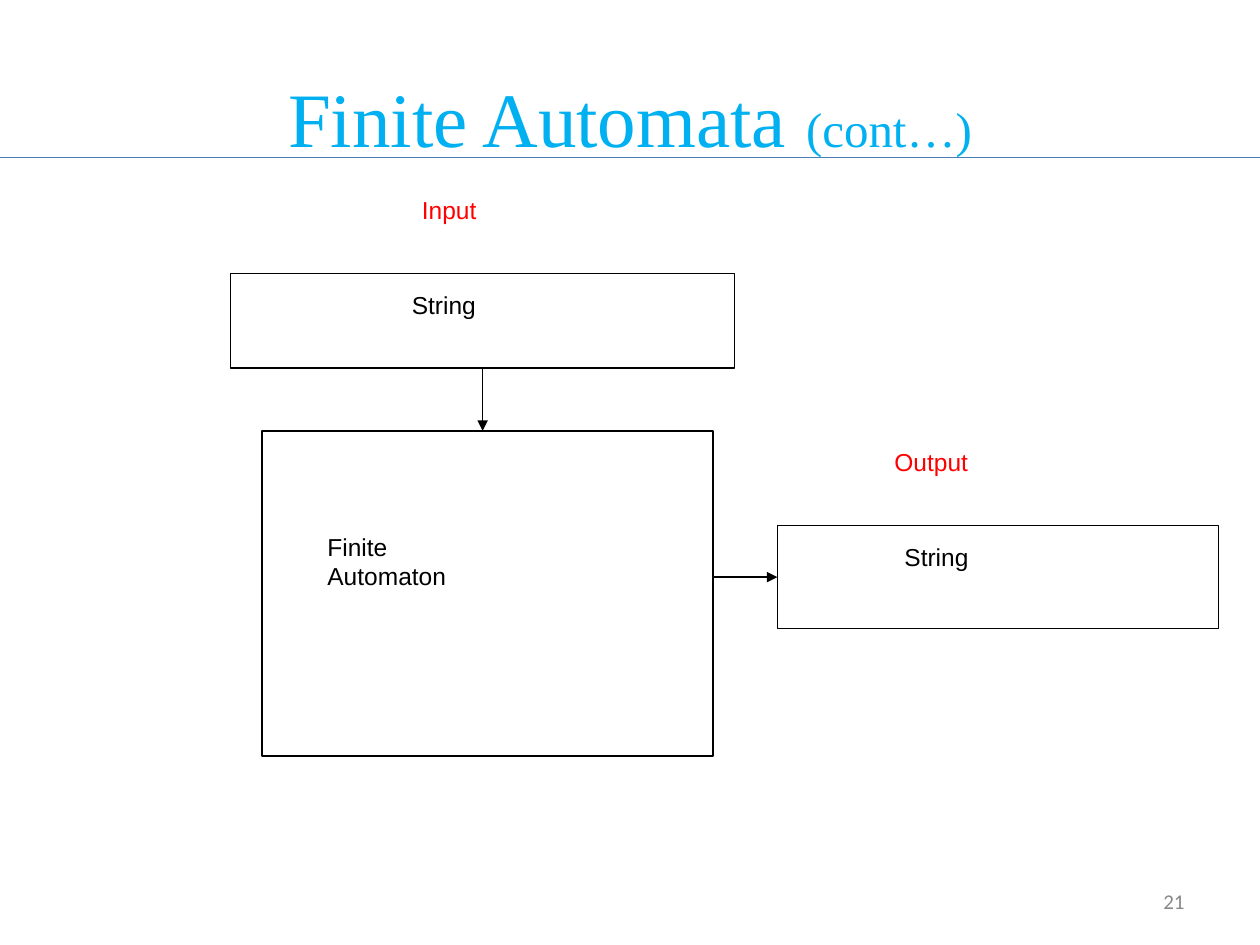
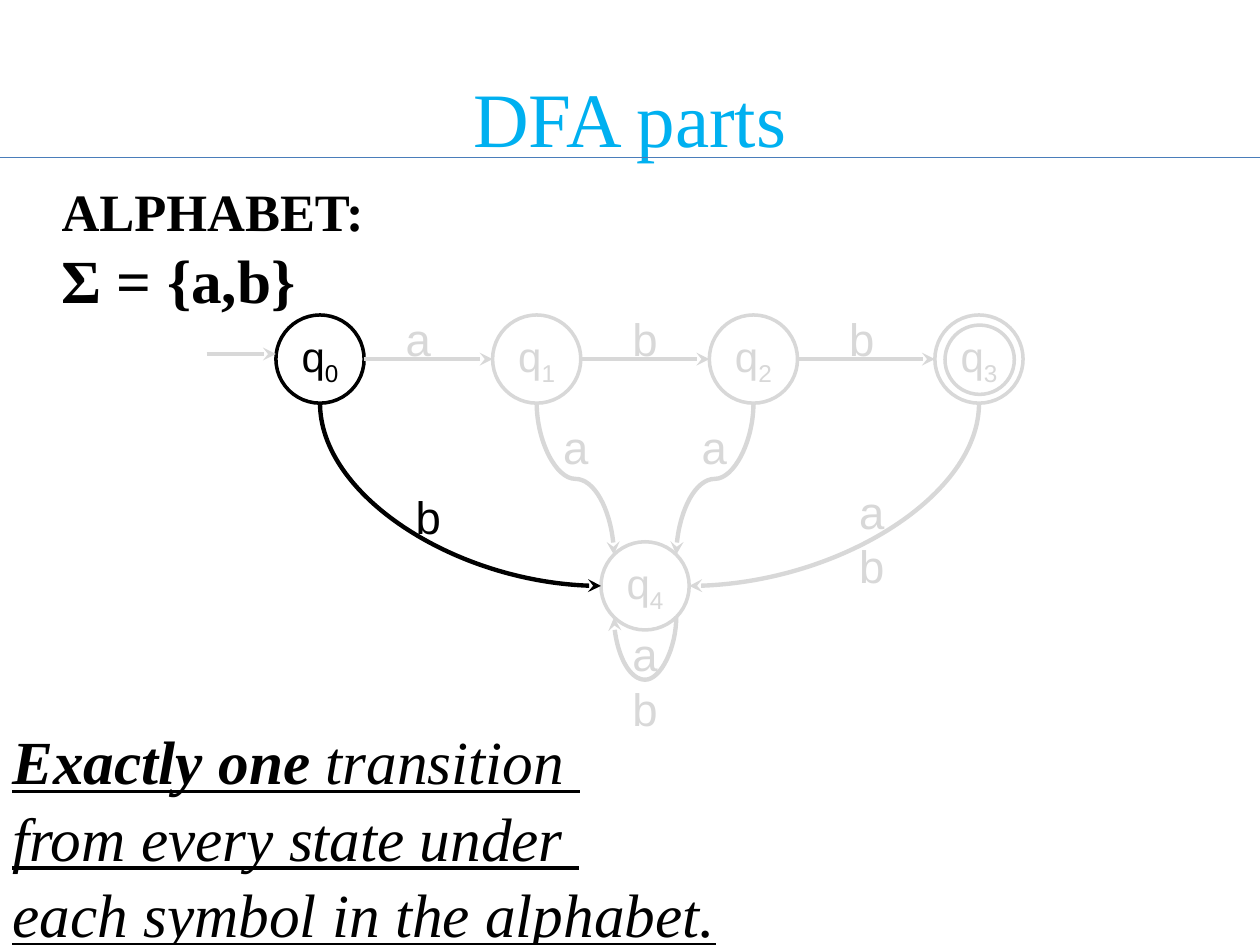
from math import cos, radians, sin

from lxml import etree
from pptx import Presentation
from pptx.dml.color import RGBColor
from pptx.enum.shapes import MSO_CONNECTOR, MSO_SHAPE
from pptx.enum.text import MSO_ANCHOR, PP_ALIGN
from pptx.oxml.ns import qn
from pptx.util import Inches, Pt

STRAIGHT, CURVE = MSO_CONNECTOR.STRAIGHT, MSO_CONNECTOR.CURVE
RECT, OVAL = MSO_SHAPE.RECTANGLE, MSO_SHAPE.OVAL
MIDDLE = MSO_ANCHOR.MIDDLE
LEFT, CENTER, RIGHT = PP_ALIGN.LEFT, PP_ALIGN.CENTER, PP_ALIGN.RIGHT
BLACK = RGBColor(0x00, 0x00, 0x00)
WHITE = RGBColor(0xFF, 0xFF, 0xFF)
RED = RGBColor(0xFF, 0x00, 0x00)
FADED = RGBColor(0xD8, 0xD8, 0xD8)
NUMBER_GREY = RGBColor(0x88, 0x88, 0x88)
TITLE_BLUE = RGBColor(0x00, 0xB0, 0xF0)
RULE_BLUE = RGBColor(0x4A, 0x7D, 0xBA)
SANS, SERIF, NUMBER_FONT = "Arial", "Times New Roman", "Calibri"
NODE_SIZE = 0.7
BOTTOM_LEFT, BOTTOM, BOTTOM_RIGHT = 3, 4, 5
TOP_LEFT, LEFT_SIDE, RIGHT_SIDE, TOP_RIGHT = 1, 2, 6, 7


def add_run(p, text, size, color, font=SANS, bold=None, italic=None, underline=None):
    r = p.add_run()
    r.text = text
    f = r.font
    f.name, f.size, f.color.rgb = font, Pt(size), color
    f.bold, f.italic, f.underline = bold, italic, underline
    return r


def add_text(slide, x, y, w, h, lines, align=LEFT, anchor=None, spacing=None):
    tf = slide.shapes.add_textbox(Inches(x), Inches(y), Inches(w), Inches(h)).text_frame
    tf.word_wrap = False
    if anchor is not None:
        tf.vertical_anchor = anchor
    for i, runs in enumerate(lines):
        p = tf.paragraphs[0] if i == 0 else tf.add_paragraph()
        p.alignment = align
        p.line_spacing = spacing
        for text, style in runs:
            add_run(p, text, **style)


def add_label(slide, x, y, w, h, text, size, color):
    style = dict(size=size, color=color)
    add_text(slide, x, y, w, h, [[(line, style)] for line in text.split("\n")])


def add_outline(slide, kind, x, y, w, h, color=BLACK, width=0.75, fill=None):
    sp = slide.shapes.add_shape(kind, Inches(x), Inches(y), Inches(w), Inches(h))
    sp.shadow.inherit = False
    if fill is None:
        sp.fill.background()
    else:
        sp.fill.solid()
        sp.fill.fore_color.rgb = fill
    sp.line.color.rgb = color
    sp.line.width = Pt(width)
    return sp


def add_line(slide, start, end, color=BLACK, width=0.75, head=None, kind=STRAIGHT):
    cxn = slide.shapes.add_connector(kind, *(Inches(v) for v in (*start, *end)))
    cxn.line.color.rgb = color
    cxn.line.width = Pt(width)
    if head:
        etree.SubElement(cxn.line._get_or_add_ln(), qn("a:tailEnd"), type=head)
    etree.SubElement(cxn._element.spPr, qn("a:effectLst"))
    return cxn


def add_state(slide, x, y, index, color=FADED):
    sp = add_outline(slide, OVAL, x, y, NODE_SIZE, NODE_SIZE, color, 2, WHITE)
    tf = sp.text_frame
    tf.word_wrap = False
    tf.vertical_anchor = MIDDLE
    p = tf.paragraphs[0]
    p.alignment = CENTER
    add_run(p, "q", 24, color)
    sub = add_run(p, str(index), 24, color)
    sub.font._element.set("baseline", "-25000")
    return sp


def site_point(state, site):
    angle, radius = radians(45 * site), NODE_SIZE / 2
    return (state.left.inches + radius * (1 - sin(angle)),
            state.top.inches + radius * (1 - cos(angle)))


def glue(cxn, tag, state, site):
    props = cxn._element.nvCxnSpPr.cNvCxnSpPr
    etree.SubElement(props, qn(tag), id=str(state.shape_id), idx=str(site))


def add_transition(slide, source, source_site, target, target_site,
                   color=FADED, preset=None, drop=None):
    start, end = site_point(source, source_site), site_point(target, target_site)
    cxn = add_line(slide, start, end, color, 2.5, "stealth", CURVE if preset else STRAIGHT)
    glue(cxn, "a:stCxn", source, source_site)
    glue(cxn, "a:endCxn", target, target_site)
    if preset:
        bend(cxn, start, end, preset, drop)


def bend(cxn, start, end, preset, drop):
    (x1, y1), (x2, y2) = start, end
    w, h = max(y2 - y1, 0.01), abs(x2 - x1)
    cxn.left, cxn.top = Inches((x1 + x2 - w) / 2), Inches((y1 + y2 - h) / 2)
    cxn.width, cxn.height = Inches(w), Inches(h)
    xfrm = cxn._element.spPr.find(qn("a:xfrm"))
    for flip in ("flipH", "flipV"):
        xfrm.attrib.pop(flip, None)
    to_right = x2 > x1
    xfrm.set("rot", str((270 if to_right else 90) * 60000))
    if to_right:
        xfrm.set("flipH", "1")
    geom = cxn._element.spPr.find(qn("a:prstGeom"))
    geom.set("prst", preset)
    if drop:
        guides = geom.find(qn("a:avLst"))
        if guides is None:
            guides = etree.SubElement(geom, qn("a:avLst"))
        etree.SubElement(guides, qn("a:gd"), name="adj1",
                         fmla=f"val {round(drop / w * 100000)}")


def new_slide(prs, *title_runs):
    slide = prs.slides.add_slide(prs.slide_layouts[5])
    title = slide.shapes.title
    title.left, title.top = Inches(0.5), Inches(0.3)
    title.width, title.height = Inches(9), Inches(1.25)
    tf = title.text_frame
    tf.vertical_anchor = MIDDLE
    p = tf.paragraphs[0]
    p.alignment = CENTER
    for text, size in title_runs:
        add_run(p, text, size, TITLE_BLUE, SERIF)
    add_line(slide, (0, 1.25), (10, 1.25), RULE_BLUE)
    return slide


def build_finite_automata(prs):
    slide = new_slide(prs, ("Finite Automata ", 44), ("(cont…)", 28))
    add_outline(slide, RECT, 2.08, 3.42, 3.58, 2.58)
    input_box = add_outline(slide, RECT, 1.83, 2.17, 4, 0.75)
    output_box = add_outline(slide, RECT, 6.17, 4.17, 3.5, 0.82)
    for x, y, w, h, text, color in (
        (3.25, 1.5, 1.36, 0.63, "Input", RED),
        (3.17, 2.25, 1.53, 0.63, "String", BLACK),
        (2.5, 4.17, 2.45, 1.27, "Finite\nAutomaton", BLACK),
        (7, 3.5, 1.68, 0.63, "Output", RED),
        (7.08, 4.25, 1.53, 0.63, "String", BLACK),
    ):
        add_label(slide, x, y, w, h, text, 14, color)
    add_line(slide, (3.83, 2.92), (3.83, 3.42), head="triangle").begin_connect(input_box, 2)
    add_line(slide, (5.67, 4.58), (6.17, 4.58), head="triangle").end_connect(output_box, 1)
    number = dict(size=12, color=NUMBER_GREY, font=NUMBER_FONT)
    add_text(slide, 7.17, 6.95, 2.33, 0.4, [[("21", number)]], RIGHT, MIDDLE)


def build_dfa_parts(prs):
    slide = new_slide(prs, ("DFA parts", 44))
    q0 = add_state(slide, 2.19, 2.5, 0, BLACK)
    q1, q2, q3 = (add_state(slide, x, 2.5, i)
                  for i, x in enumerate((3.91, 5.63, 7.42), 1))
    add_outline(slide, OVAL, 7.5, 2.58, 0.55, 0.55, FADED, 2)
    q4 = add_state(slide, 4.77, 4.3, 4)

    add_line(slide, (1.64, 2.81), (2.19, 2.81), FADED, 2.5, "stealth")
    for source, target in ((q0, q1), (q1, q2), (q2, q3)):
        add_transition(slide, source, RIGHT_SIDE, target, LEFT_SIDE)
    quarter, s_curve = "curvedConnector2", "curvedConnector3"
    add_transition(slide, q0, BOTTOM, q4, LEFT_SIDE, BLACK, quarter)
    add_transition(slide, q1, BOTTOM, q4, TOP_LEFT, preset=s_curve)
    add_transition(slide, q2, BOTTOM, q4, TOP_RIGHT, preset=s_curve)
    add_transition(slide, q3, BOTTOM, q4, RIGHT_SIDE, preset=quarter)
    add_transition(slide, q4, BOTTOM_RIGHT, q4, BOTTOM_LEFT, preset=s_curve, drop=0.51)

    for x, y, text, color in (
        (3.12, 2.42, "a", FADED),
        (4.92, 2.42, "b", FADED),
        (6.64, 2.42, "b", FADED),
        (4.37, 3.28, "a", FADED),
        (5.47, 3.28, "a", FADED),
        (3.2, 3.83, "b", BLACK),
        (6.72, 3.79, "a\nb", FADED),
        (4.92, 4.92, "a\nb", FADED),
    ):
        add_label(slide, x, y, 0.39, 0.98 if "\n" in text else 0.54, text, 26, color)

    plain = dict(size=35, color=BLACK, font=SERIF, italic=True, underline=True)
    strong = dict(plain, bold=True)
    add_text(slide, 0, 5.67, 5.91, 1.83, [
        [("Exactly", strong), (" ", plain), ("one", strong), (" transition ", plain)],
        [("from every state under ", plain)],
        [("each symbol in the alphabet.", plain)],
    ], spacing=1.04)
    heading = dict(size=30, color=BLACK, font=SERIF, bold=True)
    add_text(slide, 0.39, 1.37, 2.66, 1.15, [
        [("ALPHABET:", heading)],
        [("Σ = {a,b}", dict(heading, size=35))],
    ])


def main():
    prs = Presentation()
    prs.slide_width, prs.slide_height = Inches(10), Inches(7.5)
    build_finite_automata(prs)
    build_dfa_parts(prs)
    prs.save("out.pptx")


if __name__ == "__main__":
    main()
